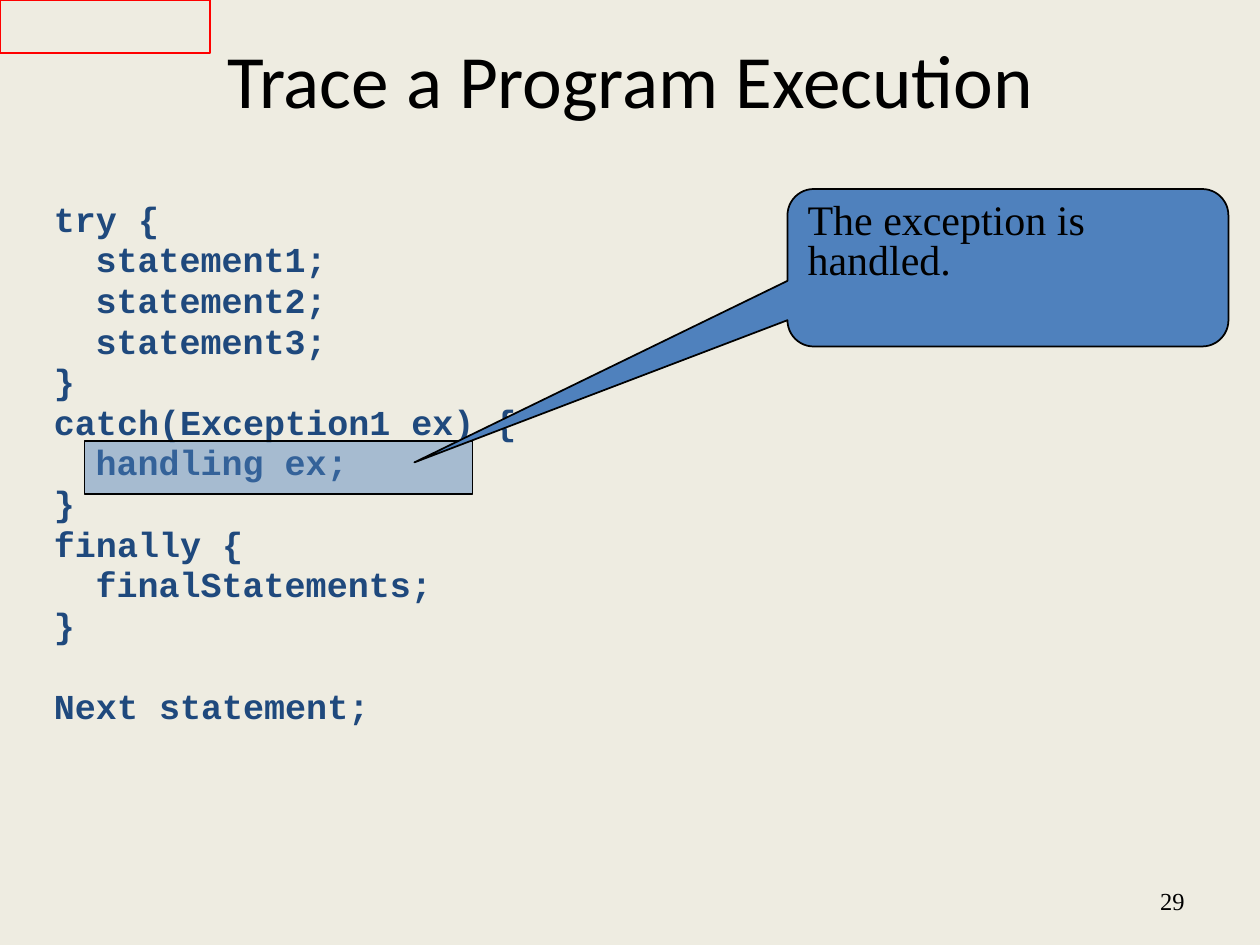
from lxml import etree
from pptx import Presentation
from pptx.dml.color import RGBColor
from pptx.enum import shapes, text
from pptx.oxml.ns import qn
from pptx.util import Inches, Pt

BACKGROUND = RGBColor(0xEE, 0xEC, 0xE1)
BLACK = RGBColor(0, 0, 0)
NAVY = RGBColor(0x1F, 0x49, 0x7D)
BLUE = RGBColor(0x4F, 0x81, 0xBD)
RED = RGBColor(0xFF, 0, 0)

# Code lines: nesting level and text, in blocks set apart by a blank line's height
CODE = [
    [(0, "try {"), (1, "statement1;"), (1, "statement2;"), (1, "statement3;"),
     (0, "}"), (0, "catch(Exception1 ex) {"), (1, "handling ex;"), (0, "}"),
     (0, "finally {"), (1, "finalStatements;"), (0, "}")],
    [(0, "Next statement;")],
]
CODE_GAP, BLOCK_GAP = 4, 27


def place(sp, x, y, w, h):
    sp.left, sp.top, sp.width, sp.height = map(Inches, (x, y, w, h))


def write(p, content, size, font="Times New Roman", color=BLACK, bold=False,
          align=text.PP_ALIGN.LEFT, spacing=1.0, before=0, indent=0):
    p.alignment, p.line_spacing, p.space_before = align, spacing, Pt(before)
    if indent:
        p._p.get_or_add_pPr().set("marL", str(Inches(indent)))
    r = p.add_run()
    r.text = content
    f = r.font
    f.name, f.size, f.bold, f.color.rgb = font, Pt(size), bold, color


def add_text(s, x, y, w, h, anchor=text.MSO_ANCHOR.TOP):
    tf = s.shapes.add_textbox(*map(Inches, (x, y, w, h))).text_frame
    tf.word_wrap, tf.vertical_anchor = True, anchor
    return tf


def add_box(s, kind, x, y, w, h, fill=None, line=BLACK, alpha=None):
    sp = s.shapes.add_shape(kind, *map(Inches, (x, y, w, h)))
    sp.shadow.inherit = False
    sp.line.color.rgb, sp.line.width = line, Pt(1)
    if fill is None:
        sp.fill.background()
    else:
        sp.fill.solid()
        sp.fill.fore_color.rgb = fill
    if alpha is not None:
        clr = sp._element.spPr.find(qn("a:solidFill")).find(qn("a:srgbClr"))
        etree.SubElement(clr, qn("a:alpha")).set("val", str(alpha * 1000))
    return sp


def add_title(s, content):
    sp = s.shapes.title
    place(sp, 0.75, 0.33, 8.5, 0.58)
    tf = sp.text_frame
    tf.vertical_anchor = text.MSO_ANCHOR.MIDDLE
    tf.auto_size = text.MSO_AUTO_SIZE.NONE
    write(tf.paragraphs[0], content, 43, font="Calibri",
          align=text.PP_ALIGN.CENTER)


def add_code(s):
    tf = add_text(s, 0.33, 1.58, 5.08, 4.92)
    p = tf.paragraphs[0]
    for b, block in enumerate(CODE):
        for i, (level, line) in enumerate(block):
            if b or i:
                p = tf.add_paragraph()
            write(p, line, 20, font="Courier New", color=NAVY, bold=True,
                  spacing=0.8, before=BLOCK_GAP if b and not i else CODE_GAP,
                  indent=level * 0.33)


def add_callout(s, content):
    sp = add_box(s, shapes.MSO_SHAPE.ROUNDED_RECTANGULAR_CALLOUT,
                 6.25, 1.5, 3.5, 1.25, fill=BLUE)
    for i, value in enumerate((-1.346, 1.236, 0.167)):
        sp.adjustments[i] = value
    tf = sp.text_frame
    tf.word_wrap, tf.vertical_anchor = True, text.MSO_ANCHOR.TOP
    write(tf.paragraphs[0], content, 24, spacing=0.8, before=5)


def main():
    prs = Presentation()
    prs.slide_width, prs.slide_height = Inches(10), Inches(7.5)
    s = prs.slides.add_slide(prs.slide_layouts[5])
    s.background.fill.solid()
    s.background.fill.fore_color.rgb = BACKGROUND

    add_title(s, "Trace a Program Execution")
    add_code(s)

    # Slide number
    tf = add_text(s, 7.17, 6.95, 2.33, 0.4, anchor=text.MSO_ANCHOR.MIDDLE)
    write(tf.paragraphs[0], "29", 14, align=text.PP_ALIGN.RIGHT)

    # Corner frame, highlight on the current statement, and its callout
    rect = shapes.MSO_SHAPE.RECTANGLE
    add_box(s, rect, 0, 0, 1.67, 0.42, line=RED)
    add_box(s, rect, 0.67, 3.5, 3.08, 0.42, fill=BLUE, alpha=45)
    add_callout(s, "The exception is handled.")
    prs.save("out.pptx")


if __name__ == "__main__":
    main()
